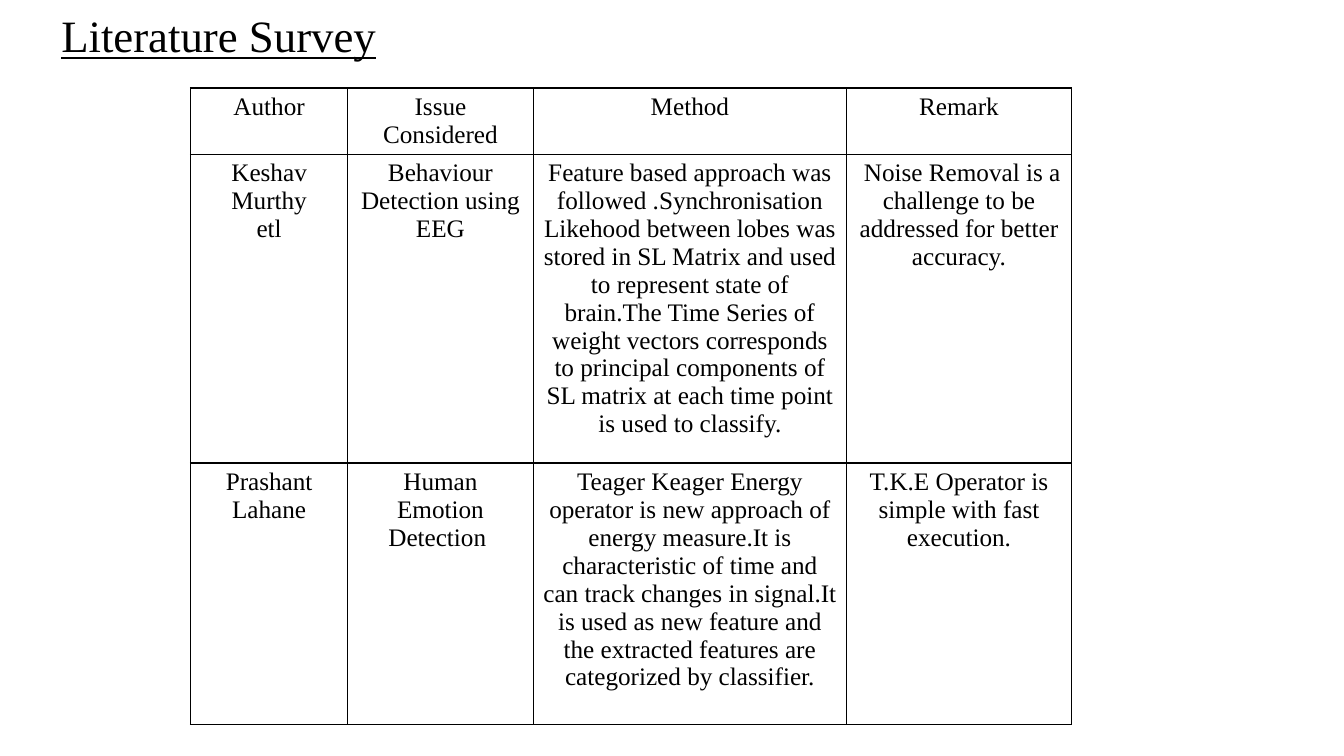
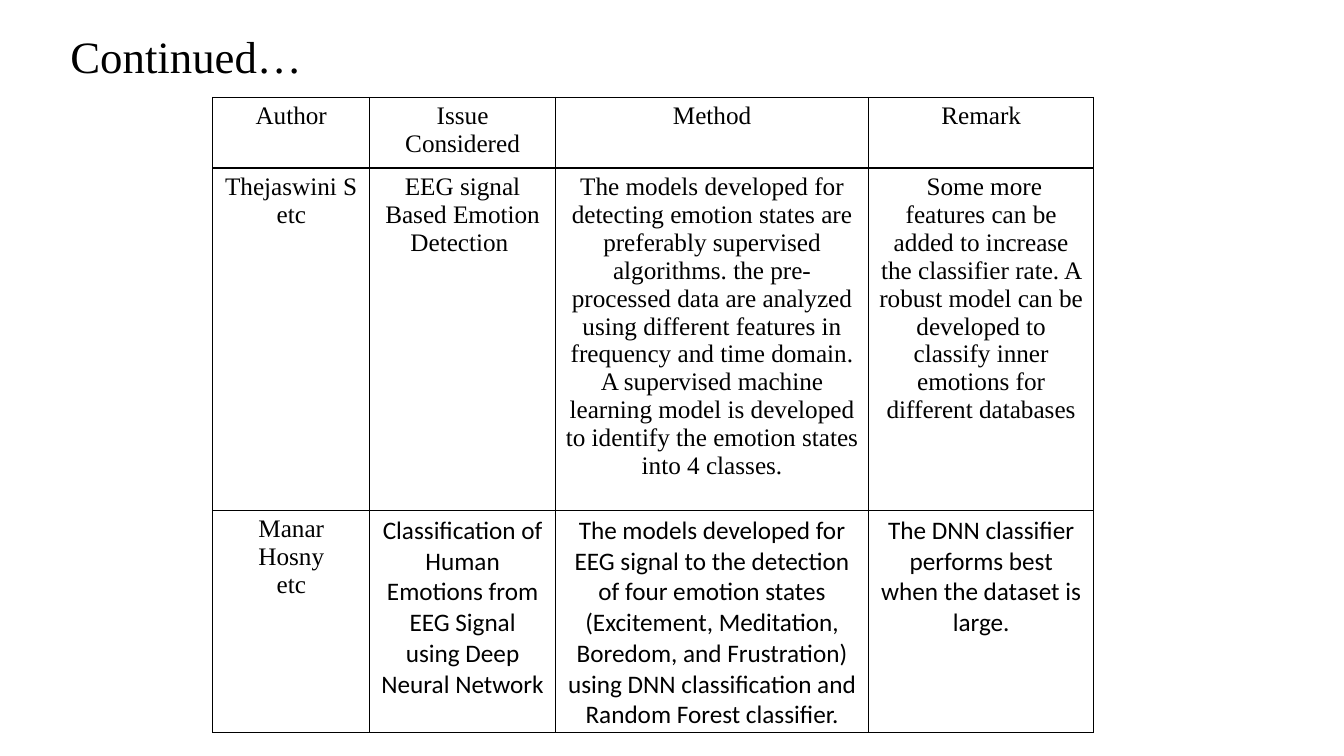
from dataclasses import dataclass

import lxml.etree
import pptx
import pptx.dml.color
import pptx.enum.text
import pptx.oxml.ns
import pptx.util

Pt = pptx.util.Pt
BLACK = pptx.dml.color.RGBColor(0, 0, 0)
WHITE = pptx.dml.color.RGBColor(255, 255, 255)
SERIF = "Times New Roman"
SANS = "Calibri"
WIDTHS = (112.3, 132.5, 223.9, 160.6)
HEADER = ("Author", "Issue Considered", "Method", "Remark")


@dataclass
class Title:
    text: str
    left: float
    top: float
    width: float
    under: bool = False


@dataclass
class Row:
    height: float
    texts: tuple[str, ...]
    fonts: tuple[str, ...] = (SERIF,) * 4


@dataclass
class Survey:
    title: Title
    left: float
    top: float
    rows: list[Row]


SURVEYS = [
    Survey(Title("Literature Survey", 36.7, 2.2, 355, under=True), 136.1, 62.9, [
        Row(47.2, HEADER),
        Row(220.7, (
            "Keshav Murthy\netl",
            "Behaviour Detection using EEG",
            "Feature based approach was followed .Synchronisation Likehood between "
            "lobes was stored in SL Matrix and used to represent state of brain."
            "The Time Series of weight vectors corresponds to principal components "
            "of SL matrix at each time point is used to classify.",
            " Noise Removal is a challenge to be addressed for better accuracy.")),
        Row(186.5, (
            "Prashant Lahane",
            "Human Emotion Detection ",
            "Teager Keager Energy operator is new approach of energy measure."
            "It is characteristic of time and can track changes in signal."
            "It is used as new feature and the extracted features are categorized "
            "by classifier.",
            "T.K.E Operator is simple with fast execution.")),
    ]),
    Survey(Title("Continued…", 43.2, 16.6, 217.4), 151.9, 69.6, [
        Row(50.4, HEADER),
        Row(244.6, (
            "Thejaswini S\netc",
            "EEG signal Based Emotion Detection ",
            "The models developed for detecting emotion states are preferably "
            "supervised algorithms. the pre-processed data are analyzed using "
            "different features in frequency and time domain. A supervised machine "
            "learning model is developed to identify the emotion states into "
            "4 classes.",
            " Some more features can be added to increase the classifier rate. "
            "A robust model can be developed to classify inner emotions for "
            "different databases")),
        Row(158.6, (
            "Manar Hosny\netc",
            "Classification of Human Emotions from\n"
            "EEG Signal using Deep Neural Network",
            "The models developed for EEG signal to the detection of four emotion "
            "states (Excitement, Meditation, Boredom, and Frustration) using DNN "
            "classification and Random Forest classifier.",
            "The DNN classifier performs best when the dataset is large."),
            (SERIF, SANS, SANS, SANS)),
    ]),
]


def style(font, name: str, size: float) -> None:
    font.name = name
    font.size = Pt(size)
    font.color.rgb = BLACK


def add_title(slide, title: Title) -> None:
    box = slide.shapes.add_textbox(
        Pt(title.left), Pt(title.top), Pt(title.width), Pt(46))
    frame = box.text_frame
    frame.word_wrap = True
    frame.auto_size = pptx.enum.text.MSO_AUTO_SIZE.SHAPE_TO_FIT_TEXT
    frame.text = title.text
    font = frame.paragraphs[0].font
    style(font, SERIF, 32)
    if title.under:
        font.underline = True


def add_edges(cell) -> None:
    """Draw a thin black line on all four sides; lines precede the fill."""
    qn = pptx.oxml.ns.qn
    props = cell._tc.get_or_add_tcPr()
    for spot, side in enumerate("LRTB"):
        line = lxml.etree.Element(qn(f"a:ln{side}"), w=str(Pt(1)))
        fill = lxml.etree.SubElement(line, qn("a:solidFill"))
        lxml.etree.SubElement(fill, qn("a:srgbClr"), val=str(BLACK))
        props.insert(spot, line)


def fill_cell(cell, text: str, name: str) -> None:
    cell.text = text
    cell.margin_bottom = 0
    cell.fill.solid()
    cell.fill.fore_color.rgb = WHITE
    add_edges(cell)
    for para in cell.text_frame.paragraphs:
        para.alignment = pptx.enum.text.PP_ALIGN.CENTER
        style(para.font, name, 18)


def add_grid(slide, survey: Survey) -> None:
    rows = survey.rows
    table = slide.shapes.add_table(
        len(rows), len(WIDTHS), Pt(survey.left), Pt(survey.top),
        Pt(sum(WIDTHS)), Pt(sum(row.height for row in rows))).table
    table.first_row = table.horz_banding = False
    for col, width in zip(table.columns, WIDTHS):
        col.width = Pt(width)
    for line, row in zip(table.rows, rows):
        line.height = Pt(row.height)
        for cell, text, name in zip(line.cells, row.texts, row.fonts):
            fill_cell(cell, text, name)


# Build the deck
deck = pptx.Presentation()
deck.slide_width, deck.slide_height = Pt(960), Pt(540)
for survey in SURVEYS:
    page = deck.slides.add_slide(deck.slide_layouts[6])
    add_grid(page, survey)
    add_title(page, survey.title)
deck.save("out.pptx")
